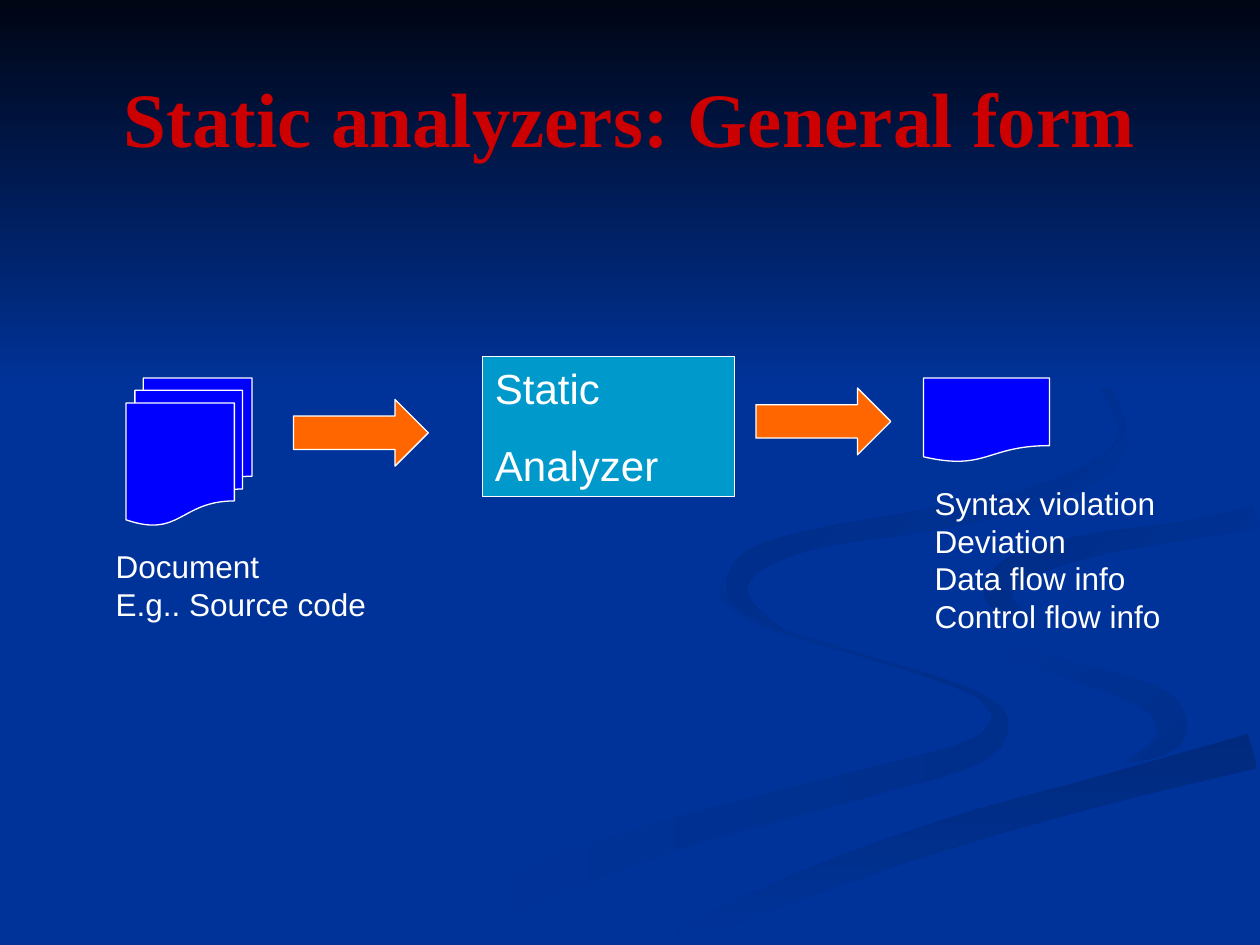
import math

from pptx import Presentation
from pptx.dml.color import RGBColor
from pptx.enum import shapes, text
from pptx.util import Inches, Pt

BLUE = RGBColor(0x00, 0x33, 0x99)
NIGHT = RGBColor(0x00, 0x05, 0x14)
SHADE = RGBColor(0x00, 0x2C, 0x85)
DEEP_SHADE = RGBColor(0x00, 0x2A, 0x7D)
SOFT_SHADE = RGBColor(0x00, 0x2E, 0x8B)
RED = RGBColor(0xCC, 0x00, 0x00)
WHITE = RGBColor(0xFF, 0xFF, 0xFF)
CYAN = RGBColor(0x00, 0x99, 0xCC)
PAPER = RGBColor(0x00, 0x00, 0xFF)
ORANGE = RGBColor(0xFF, 0x66, 0x00)

CURVE_STEPS = 6
CAPTION_LINE = 0.3
CAPTION_INSET = 0.05


def spline(a, b, c, d, t):
    return b + t * (c - a + t * (2 * a - 5 * b + 4 * c - d + t * (3 * (b - c) + d - a))) / 2


def smooth(knots):
    padded = [knots[0], *knots, knots[-1]]
    curve = []
    for around in zip(padded, padded[1:], padded[2:], padded[3:]):
        for step in range(CURVE_STEPS):
            curve.append([spline(*axis, step / CURVE_STEPS) for axis in zip(*around)])
    return curve + [knots[-1]]


def ribbon_outline(knots):
    curve = smooth(knots)
    near, far = [], []
    for index, (x, y, thickness) in enumerate(curve):
        before, after = curve[max(index - 1, 0)], curve[min(index + 1, len(curve) - 1)]
        heading = math.atan2(after[1] - before[1], after[0] - before[0])
        dx = -math.sin(heading) * thickness / 2
        dy = math.cos(heading) * thickness / 2
        near.append((x + dx, y + dy))
        far.append((x - dx, y - dy))
    return near + far[::-1]


def paint_gradient(shape, start, end, angle):
    shape.shadow.inherit = False
    shape.line.fill.background()
    shape.fill.gradient()
    shape.fill.gradient_angle = (360 - angle) % 360
    for stop, color, position in zip(shape.fill.gradient_stops, (start, end), (0, 1)):
        stop.color.rgb = color
        stop.position = position


def add_ribbon(slide, left, top, knots, start, end, angle):
    points = [(left + Inches(x), top + Inches(y)) for x, y in ribbon_outline(knots)]
    builder = slide.shapes.build_freeform(*points[0], scale=1.0)
    builder.add_line_segments(points[1:], close=True)
    paint_gradient(builder.convert_to_shape(), start, end, angle)


def add_river(slide, left, top):
    # Each knot is the x, y and thickness of a ribbon along its centre line.
    lower_bend = [(5.74, 4.62, 0), (5.75, 4.75, 0.05), (6.1, 4.97, 0.04), (6.8, 5.19, 0.02),
                  (7.45, 5.39, 0.03), (7.81, 5.55, 0.05), (7.93, 5.75, 0.15),
                  (7.7, 5.98, 0.2), (6.85, 6.22, 0.22), (5.35, 6.62, 0.25),
                  (4.2, 7.03, 0.3), (3.4, 7.36, 0.25)]
    right_bend = [(7.75, 5.09, 0.09), (8.3, 5.26, 0.13), (8.85, 5.43, 0.17),
                  (9.2, 5.58, 0.22), (9.3, 5.78, 0.24), (9.2, 5.93, 0.15), (8.94, 6.05, 0)]
    front_bank = [(5.4, 7.43, 0.1), (6.4, 7.01, 0.2), (7.58, 6.6, 0.23),
                  (8.8, 6.26, 0.23), (9.94, 5.96, 0.28)]
    right_bank = [(9.96, 4.11, 0.18), (9.35, 4.22, 0.14), (8.65, 4.33, 0.18),
                  (8.12, 4.49, 0.22), (7.93, 4.67, 0.24), (8, 4.82, 0.14), (8.26, 4.96, 0)]
    upper_bend = [(8.73, 3, 0.07), (8.91, 3.4, 0.06), (8.76, 3.69, 0.14), (8.22, 3.94, 0.16),
                  (7.35, 4.13, 0.17), (6.5, 4.27, 0.15), (6, 4.44, 0.19),
                  (5.85, 4.65, 0.17), (5.95, 4.83, 0.1), (6.22, 5, 0)]
    add_ribbon(slide, left, top, lower_bend, BLUE, SOFT_SHADE, 0)
    add_ribbon(slide, left, top, right_bend, BLUE, SOFT_SHADE, 45)
    add_ribbon(slide, left, top, front_bank, DEEP_SHADE, BLUE, 90)
    add_ribbon(slide, left, top, right_bank, SHADE, BLUE, 45)
    add_ribbon(slide, left, top, upper_bend, SHADE, BLUE, 45)


def add_sky(slide, left, top, width, height):
    sky = slide.shapes.add_shape(shapes.MSO_SHAPE.RECTANGLE, left, top, width, height)
    paint_gradient(sky, NIGHT, BLUE, 90)


def write(frame, lines, size=18, font="Arial", color=WHITE, bold=False, wrap=False,
          align=text.PP_ALIGN.LEFT, anchor=text.MSO_ANCHOR.TOP, gap=0):
    frame.word_wrap = wrap
    frame.vertical_anchor = anchor
    for index, line in enumerate(lines):
        paragraph = frame.add_paragraph() if index else frame.paragraphs[0]
        paragraph.text = line
        paragraph.alignment = align
        if index and gap:
            paragraph.space_before = Pt(gap)
        paragraph.font.size = Pt(size)
        paragraph.font.name = font
        paragraph.font.bold = bold
        paragraph.font.color.rgb = color


def add_title(slide, left, top, width, height):
    title = slide.shapes.add_textbox(left, top, width, height)
    write(title.text_frame, ["Static analyzers: General form"], size=44,
          font="Times New Roman", color=RED, bold=True, wrap=True,
          align=text.PP_ALIGN.CENTER, anchor=text.MSO_ANCHOR.MIDDLE)


def add_block(slide, kind, fill, left, top, width, height):
    block = slide.shapes.add_shape(kind, left, top, width, height)
    block.shadow.inherit = False
    block.fill.solid()
    block.fill.fore_color.rgb = fill
    block.line.color.rgb = WHITE
    block.line.width = Pt(0.75)
    return block


def add_arrow(slide, left, top):
    add_block(slide, shapes.MSO_SHAPE.RIGHT_ARROW, ORANGE,
              left, top, Inches(1.07), Inches(0.53))


def add_analyzer(slide, left, top, width, height):
    analyzer = add_block(slide, shapes.MSO_SHAPE.RECTANGLE, CYAN, left, top, width, height)
    write(analyzer.text_frame, ["Static", "Analyzer"], size=24, wrap=True, gap=15)


def add_caption(slide, lines, left, top, width):
    height = Inches(2 * CAPTION_INSET + CAPTION_LINE * len(lines))
    caption = slide.shapes.add_textbox(left, top, width, height)
    write(caption.text_frame, lines)


def add_input(slide, left, top, width, height):
    add_block(slide, shapes.MSO_SHAPE.FLOWCHART_MULTIDOCUMENT, PAPER,
              left, top, width, height)
    add_caption(slide, ["Document", "E.g.. Source code"],
                left - Inches(0.18), top + height + Inches(0.12), Inches(2.19))


def add_output(slide, left, top, width, height):
    add_block(slide, shapes.MSO_SHAPE.FLOWCHART_DOCUMENT, PAPER, left, top, width, height)
    add_caption(slide, ["Syntax violation", "Deviation", "Data flow info", "Control flow info"],
                left - Inches(0.01), top + height + Inches(0.12), Inches(1.99))


def add_flow(slide, left, top):
    pages_top = top + Inches(0.17)
    add_input(slide, left, pages_top, Inches(1), Inches(1.17))
    add_arrow(slide, left + Inches(1.33), top + Inches(0.34))
    add_analyzer(slide, left + Inches(2.83), top, Inches(2), Inches(1.11))
    add_arrow(slide, left + Inches(5), top + Inches(0.25))
    add_output(slide, left + Inches(6.33), pages_top, Inches(1), Inches(0.67))


def main():
    deck = Presentation()
    deck.slide_width, deck.slide_height = Inches(10), Inches(7.5)
    slide = deck.slides.add_slide(deck.slide_layouts[6])
    slide.background.fill.solid()
    slide.background.fill.fore_color.rgb = BLUE
    add_river(slide, Inches(0), Inches(0))
    add_sky(slide, Inches(0), Inches(0), deck.slide_width, Inches(3.08))
    add_title(slide, Inches(0.5), Inches(0.3), Inches(9), Inches(1.25))
    add_flow(slide, Inches(1), Inches(2.83))
    deck.save("out.pptx")


if __name__ == "__main__":
    main()
